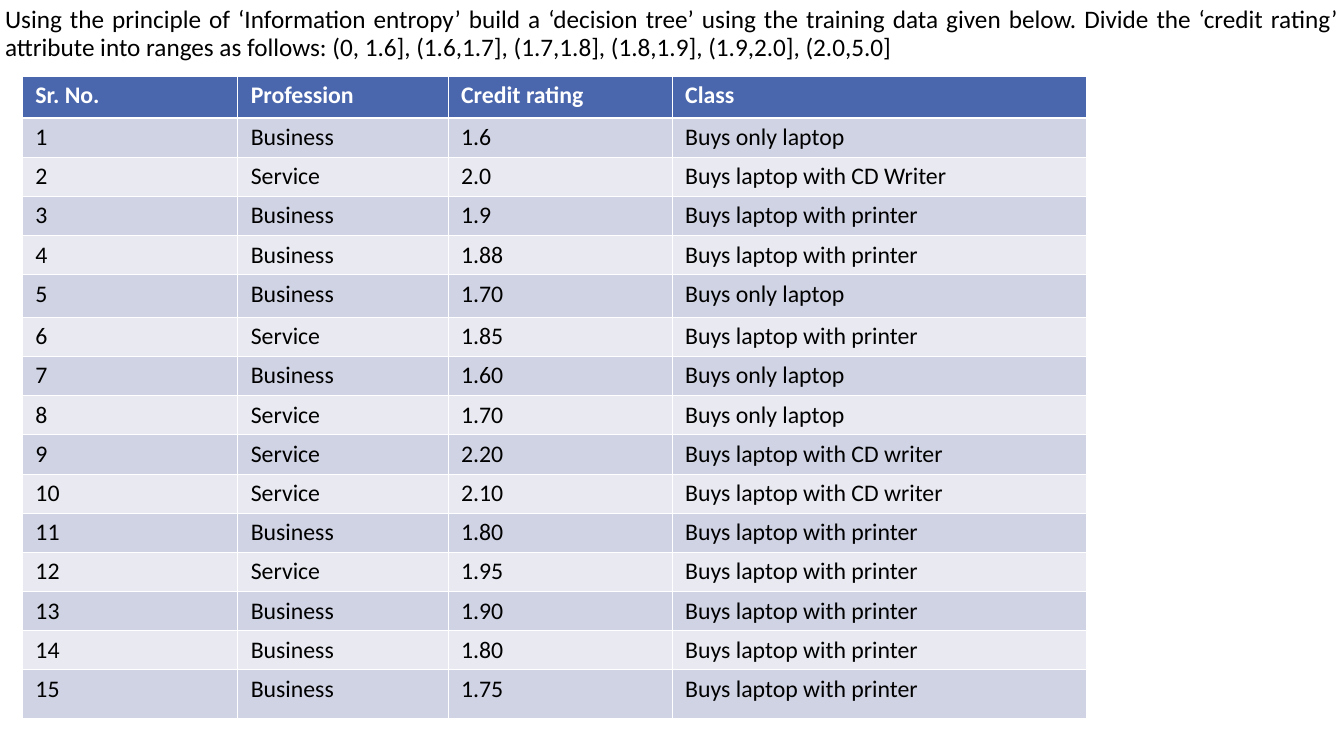
from lxml.etree import SubElement
from pptx import Presentation
from pptx.dml.color import RGBColor
from pptx.enum.text import MSO_ANCHOR, MSO_AUTO_SIZE, PP_ALIGN
from pptx.oxml.ns import qn
from pptx.util import Pt


def color(hex_string):
    return RGBColor.from_string(hex_string)


def add_text(tf, text, size=34, fill="000000", bold=False, align=PP_ALIGN.LEFT, spacing=1.0):
    p = tf.paragraphs[0]
    p.alignment = align
    p.line_spacing = spacing
    r = p.add_run()
    r.text = text
    r.font.name = "Calibri"
    r.font.size = Pt(size)
    r.font.bold = bold
    r.font.color.rgb = color(fill)


prs = Presentation()
prs.slide_width, prs.slide_height = Pt(1919.52), Pt(1080)
s = prs.slides.add_slide(prs.slide_layouts[5])

title = s.shapes.title
title.left, title.top, title.width, title.height = Pt(0), Pt(-1.44), Pt(1919.52), Pt(100.8)
tf = title.text_frame
tf.auto_size = MSO_AUTO_SIZE.NONE
tf.word_wrap = True
tf.vertical_anchor = MSO_ANCHOR.MIDDLE
add_text(
    tf,
    "Using the principle of ‘Information entropy’ build a ‘decision tree’ using the training data "
    "given below. Divide the ‘credit rating’ attribute into ranges as follows: "
    "(0, 1.6], (1.6,1.7], (1.7,1.8], (1.8,1.9], (1.9,2.0], (2.0,5.0]",
    size=36, align=PP_ALIGN.JUSTIFY, spacing=0.9,
)

LAPTOP = "Buys only laptop"
PRINTER = "Buys laptop with printer"
WRITER = "Buys laptop with CD writer"
customers = [
    ("Business", "1.6", LAPTOP),
    ("Service", "2.0", "Buys laptop with CD Writer"),
    ("Business", "1.9", PRINTER),
    ("Business", "1.88", PRINTER),
    ("Business", "1.70", LAPTOP),
    ("Service", "1.85", PRINTER),
    ("Business", "1.60", LAPTOP),
    ("Service", "1.70", LAPTOP),
    ("Service", "2.20", WRITER),
    ("Service", "2.10", WRITER),
    ("Business", "1.80", PRINTER),
    ("Service", "1.95", PRINTER),
    ("Business", "1.90", PRINTER),
    ("Business", "1.80", PRINTER),
    ("Business", "1.75", PRINTER),
]
rows = [("Sr. No.", "Profession", "Credit rating", "Class")]
rows += [(str(n), *customer) for n, customer in enumerate(customers, 1)]
col_widths = [307.5, 300.5, 320, 592]
row_heights = [56] * len(rows)
row_heights[0], row_heights[5], row_heights[-1] = 59.5, 60.5, 69.5

table = s.shapes.add_table(
    len(rows), len(col_widths), Pt(31.7), Pt(109), Pt(sum(col_widths)), Pt(sum(row_heights))
).table
for col, width in zip(table.columns, col_widths):
    col.width = Pt(width)
for row, height in zip(table.rows, row_heights):
    row.height = Pt(height)

for i, values in enumerate(rows):
    header = i == 0
    band = "4A66AC" if header else ("E9EAF1", "D0D3E3")[i % 2]
    borders = {"a:lnL": 1, "a:lnR": 1, "a:lnT": 3 if i == 1 else 1, "a:lnB": 3 if header else 1}
    for j, value in enumerate(values):
        cell = table.cell(i, j)
        cell.margin_left = cell.margin_right = Pt(19)
        cell.margin_top = cell.margin_bottom = Pt(7.2)
        tcPr = cell._tc.get_or_add_tcPr()
        for tag, weight in borders.items():
            ln = SubElement(tcPr, qn(tag), w=str(Pt(weight)))
            SubElement(SubElement(ln, qn("a:solidFill")), qn("a:srgbClr"), val="FFFFFF")
        cell.fill.solid()
        cell.fill.fore_color.rgb = color(band)
        add_text(cell.text_frame, value, fill="FFFFFF" if header else "000000", bold=header)

prs.save("out.pptx")
